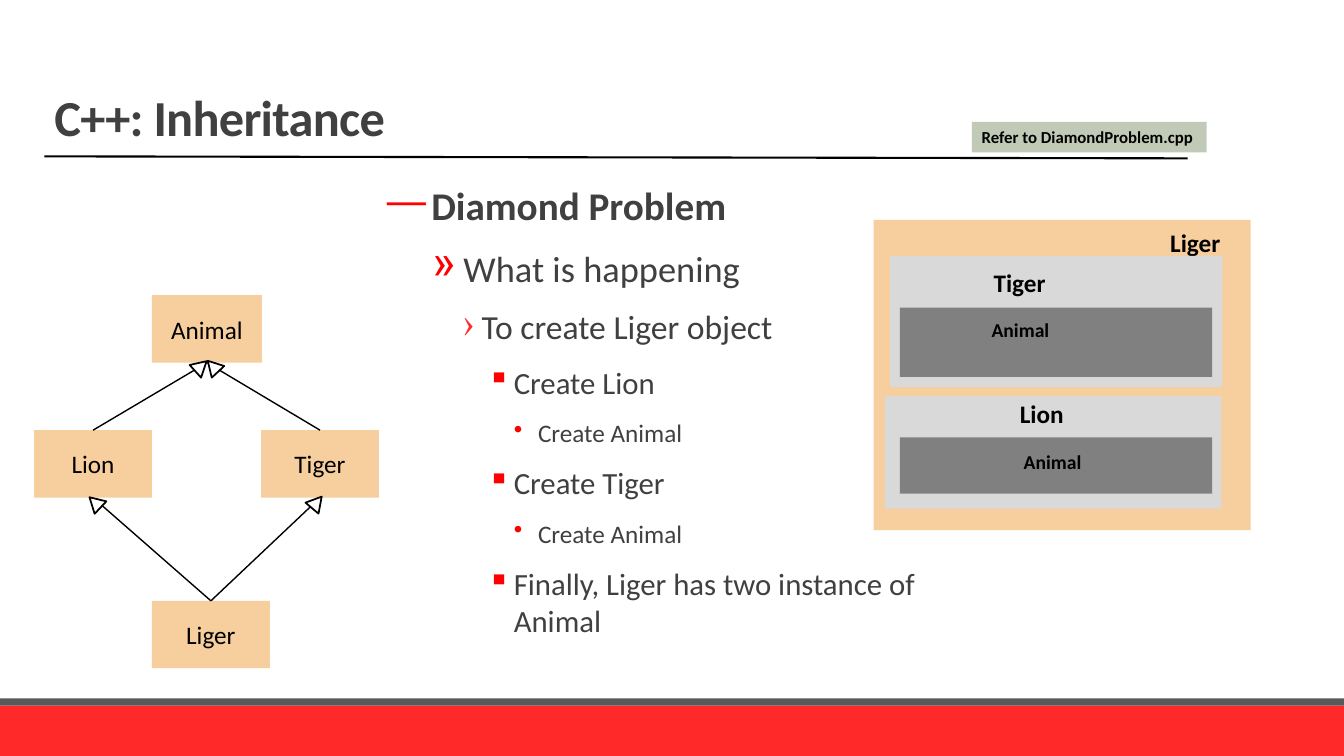
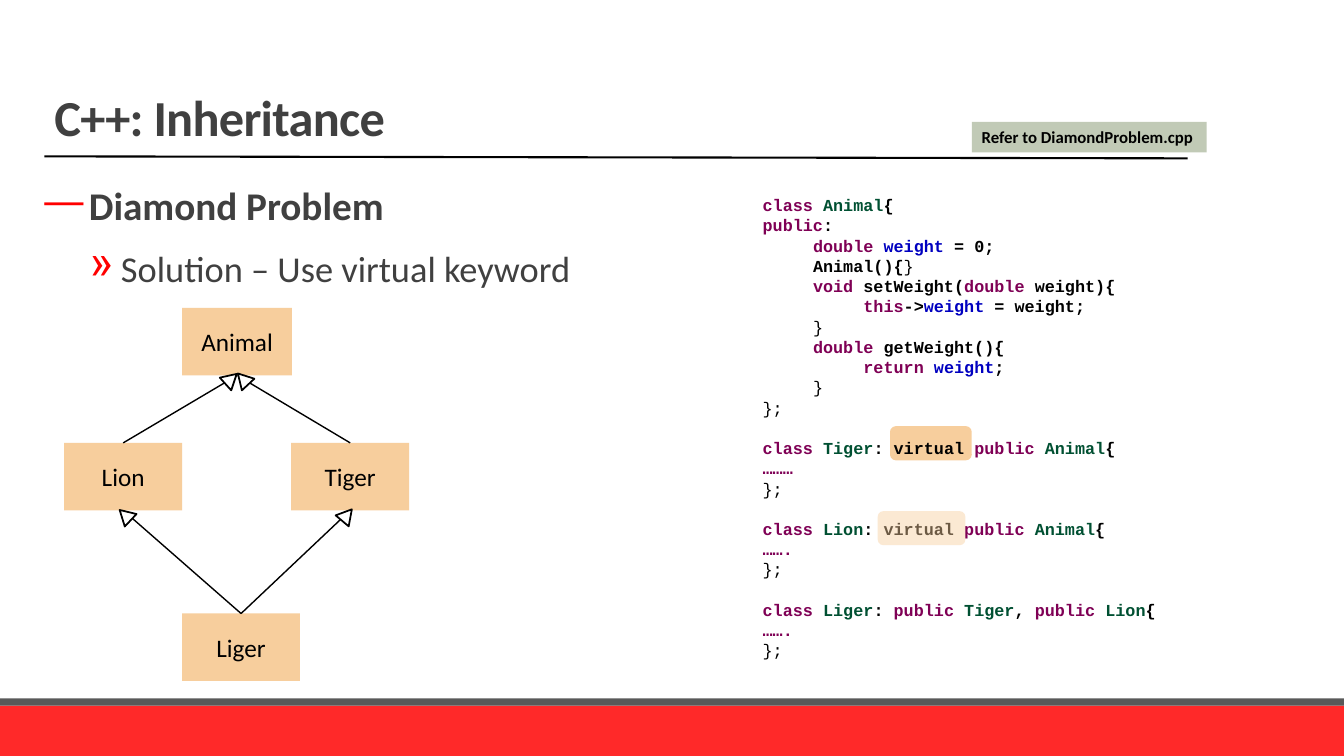
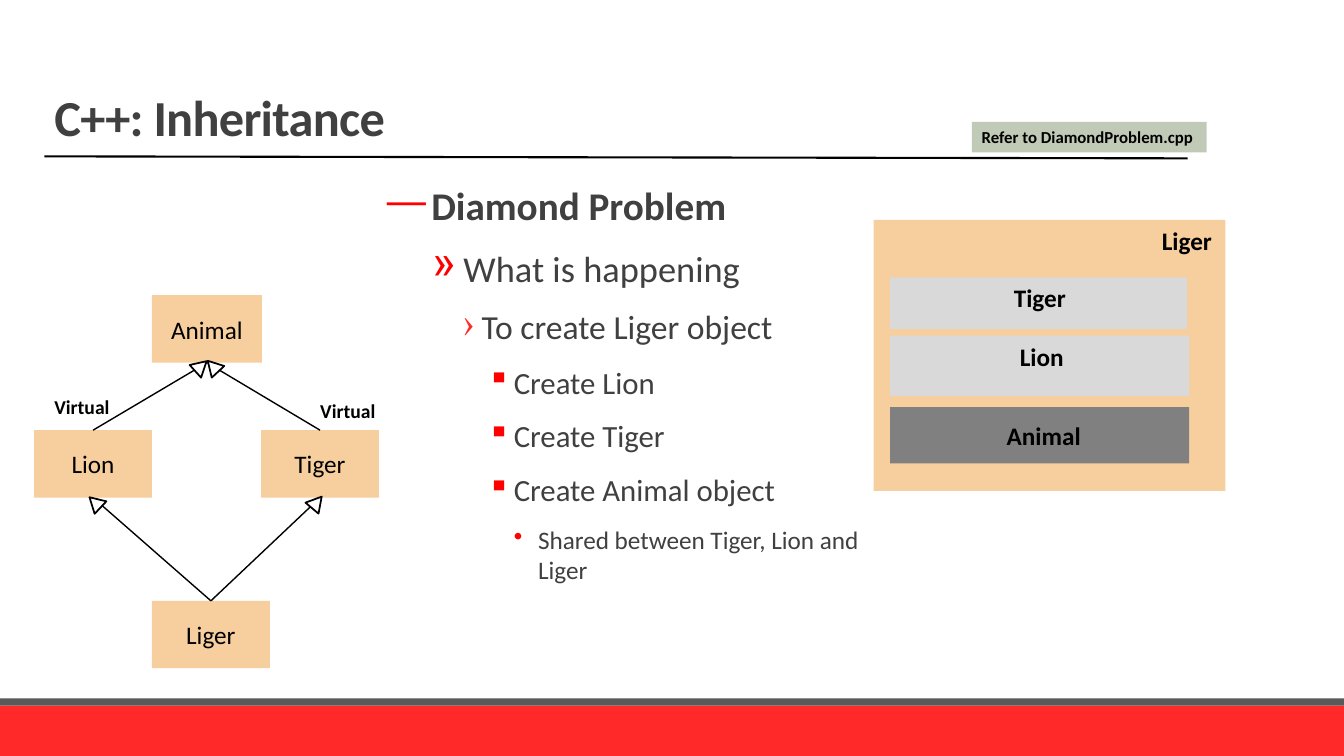
from lxml.etree import SubElement
from pptx import Presentation
from pptx.dml.color import RGBColor
from pptx.enum.shapes import MSO_CONNECTOR, MSO_SHAPE
from pptx.enum.text import MSO_ANCHOR, PP_ALIGN
from pptx.oxml.ns import qn
from pptx.util import Cm, Pt

COLORS = {
    "red": "FF2929", "bullet": "FF0000", "band": "595959", "heading": "404040",
    "black": "000000", "white": "FFFFFF", "peach": "F7CE9D", "sage": "C1CAB6",
    "light": "D9D9D9", "dark": "808080",
    "keyword": "7F0055", "class": "005032", "field": "0000C0",
}
RGB = {name: RGBColor.from_string(value) for name, value in COLORS.items()}
WIDTH, HEIGHT = 33.87, 19.05

# margin and hang in cm, text size, bullet, bullet colour, bullet size in percent
LEVELS = [
    (1.12, 1.12, 28, "—", "bullet", 100),
    (1.93, 0.79, 26, "»", "bullet", 120),
    (2.39, 0.48, 24, "›", "red", 110),
    (3.2, 0.66, 22, "▪", "bullet", 100),
    (3.81, 0.61, 18, "•", "bullet", 100),
]

# Class diagram, relative to its top left corner
CLASSES = {
    "Animal": (2.97, 0, 2.77, 1.7),
    "Lion": (0, 3.4, 2.97, 1.7),
    "Tiger": (5.72, 3.4, 2.97, 1.7),
    "Liger": (2.97, 7.7, 2.97, 1.7),
}
INHERITS = [("Lion", "Animal"), ("Tiger", "Animal"), ("Liger", "Tiger"), ("Liger", "Lion")]
ARROWHEADS = [(3.99, 1.6, 48), (4.29, 1.6, 317.1), (1.32, 5.03, 313.2), (6.91, 5.03, 40.1)]

# Code: blocks of (indent, tokens); a token found here gets its colour, others are black
TOKEN_COLORS = {
    **dict.fromkeys(["class", "public", "double", "void", "this", "return", "………", "……."], "keyword"),
    **dict.fromkeys(["Animal", "Tiger", "Lion", "Liger"], "class"),
    "weight": "field",
}
CODE = [
    [
        (0, "class |Animal|{"),
        (0, "public|:"),
        (1, "double |weight| = 0;"),
        (1, "Animal(){|}"),
        (1, "void |setWeight(|double| weight){"),
        (2, "this|->|weight| = weight;"),
        (1, "}"),
        (1, "double |getWeight(){"),
        (2, "return |weight|;"),
        (1, "}"),
        (0, "};"),
    ],
    [(0, "class |Tiger|: virtual |public |Animal|{"), (0, "………"), (0, "};")],
    [(0, "class |Lion|: virtual |public |Animal|{"), (0, "……."), (0, "};")],
    [(0, "class |Liger|: |public |Tiger|, |public |Lion|{"), (0, "……."), (0, "};")],
]
CODE_PITCH = Pt(14.45)

# Memory blocks: rectangle, fill, then label with its left, top, width and size
SLIDES = [
    {
        "outline_area": (9.75, 4.45, 13.54, 12.7),
        "outline": [
            (0, "Diamond Problem"), (1, "What is happening"), (2, "To create Liger object"),
            (3, "Create Lion"), (4, "Create Animal"),
            (3, "Create Tiger"), (4, "Create Animal"),
            (3, "Finally, Liger has two instance of Animal"),
        ],
        "diagram": (0.86, 7.44),
        "memory": [
            ((22.02, 5.54, 9.5, 7.82), "peach", "Liger", 29.24, 5.59, 1.78, 18),
            ((22.43, 6.45, 8.38, 3.3), "light", "Tiger", 24.79, 6.6, 1.83, 18),
            ((22.3, 9.98, 8.48, 2.84), "light", "Lion", 25.45, 9.91, 1.63, 18),
            ((22.68, 7.75, 7.87, 1.75), "dark", "Animal", 24.74, 7.87, 1.98, 14),
            ((22.68, 11.02, 7.87, 1.42), "dark", "Animal", 25.55, 11.2, 1.98, 14),
        ],
    },
    {
        "outline_area": (1.12, 4.45, 28.79, 12.7),
        "outline": [(0, "Diamond Problem"), (1, "Solution – Use virtual keyword")],
        "diagram": (1.62, 7.76),
        "code": CODE,
    },
    {
        "outline_area": (9.75, 4.45, 11.91, 12.7),
        "outline": [
            (0, "Diamond Problem"), (1, "What is happening"), (2, "To create Liger object"),
            (3, "Create Lion"), (3, "Create Tiger"), (3, "Create Animal object"),
            (4, "Shared between Tiger, Lion and Liger"),
        ],
        "diagram": (0.86, 7.44),
        "memory": [
            ((22.02, 5.54, 8.86, 6.83), "peach", "Liger", 29.03, 5.54, 1.78, 18),
            ((22.43, 6.99, 7.49, 1.3), "light", "Tiger", 25.3, 6.99, 1.83, 18),
            ((22.43, 8.46, 7.54, 1.52), "light", "Lion", 25.45, 8.46, 1.63, 18),
            ((22.43, 10.26, 7.54, 1.42), "dark", "Animal", 25.12, 10.46, 2.67, 18),
        ],
        "virtual_labels": [(1.12, 9.83), (7.82, 9.91)],
    },
]


def add_box(slide, area, text="", *, kind=MSO_SHAPE.RECTANGLE, fill=None, line=None,
            rotation=0, size=18, bold=False, color="black", align=PP_ALIGN.LEFT,
            anchor=MSO_ANCHOR.TOP, wrap=True, side_inset=0.25):
    """Add a filled shape, or a plain text box when there is no fill; area is in cm."""
    place = [Cm(length) for length in area]
    if fill is None:
        box = slide.shapes.add_textbox(*place)
    else:
        box = slide.shapes.add_shape(kind, *place)
        box.shadow.inherit = False
        box.fill.solid()
        box.fill.fore_color.rgb = RGB[fill]
        box.rotation = rotation
        if line is None:
            box.line.fill.background()
        else:
            box.line.color.rgb = RGB["black"]
            box.line.width = Pt(line)
    frame = box.text_frame
    frame.word_wrap = wrap
    frame.vertical_anchor = anchor
    frame.margin_left = frame.margin_right = Cm(side_inset)
    frame.margin_top = frame.margin_bottom = Cm(0.13)
    if text:
        frame.text = text
    for paragraph in frame.paragraphs:
        paragraph.alignment = align
        for run in paragraph.runs:
            run.font.name = "Calibri"
            run.font.size = Pt(size)
            run.font.bold = bold
            run.font.color.rgb = RGB[color]
    return box


def add_line(slide, ends, width):
    line = slide.shapes.add_connector(MSO_CONNECTOR.STRAIGHT, *[Cm(length) for length in ends])
    line.line.color.rgb = RGB["black"]
    line.line.width = Pt(width)
    SubElement(line.element.spPr, qn("a:effectLst"))
    return line


deck = Presentation()
deck.slide_width, deck.slide_height = Cm(WIDTH), Cm(HEIGHT)

for content in SLIDES:
    slide = deck.slides.add_slide(deck.slide_layouts[6])

    # Bands, rule, title and file reference
    add_box(slide, (0, 17.78, WIDTH, 1.27), fill="red")
    add_box(slide, (0, 17.6, WIDTH, 0.18), fill="band")
    add_line(slide, (1.12, 3.94, 29.93, 3.99), 1.5)
    title = add_box(slide, (1.12, 0, 28.79, 3.84), "C++: Inheritance", size=36, bold=True,
                    color="heading", anchor=MSO_ANCHOR.BOTTOM).text_frame.paragraphs[0]
    title.line_spacing = 0.85
    title.runs[0].font._element.set("spc", "-50")
    add_box(slide, (24.49, 3.07, 5.92, 0.77), "Refer to DiamondProblem.cpp",
            fill="sage", size=12, bold=True, wrap=False)

    # Outline
    outline = add_box(slide, content["outline_area"],
                      "\n".join(text for _, text in content["outline"]),
                      color="heading", side_inset=0).text_frame
    for number, (level, _) in enumerate(content["outline"]):
        paragraph = outline.paragraphs[number]
        margin, hang, size, bullet, bullet_color, percent = LEVELS[level]
        paragraph.level = level
        properties = paragraph._p.get_or_add_pPr()
        properties.set("marL", str(Cm(margin)))
        properties.set("indent", str(-Cm(hang)))
        SubElement(SubElement(properties, qn("a:buClr")), qn("a:srgbClr"), val=COLORS[bullet_color])
        SubElement(properties, qn("a:buSzPct"), val=str(percent * 1000))
        SubElement(properties, qn("a:buChar"), char=bullet)
        paragraph.space_before = Pt(6 if number else 0)
        paragraph.space_after = Pt(6)
        paragraph.runs[0].font.size = Pt(size)
        paragraph.runs[0].font.bold = level == 0

    # Class diagram
    left, top = content["diagram"]
    classes = {}
    for name, (x, y, width, height) in CLASSES.items():
        classes[name] = add_box(slide, (left + x, top + y, width, height), name, fill="peach",
                                align=PP_ALIGN.CENTER, anchor=MSO_ANCHOR.MIDDLE)
    for child, parent in INHERITS:
        arrow = add_line(slide, (0, 0, 0, 0), 1)
        arrow.begin_connect(classes[child], 0)
        arrow.end_connect(classes[parent], 2)
        SubElement(arrow.line._get_or_add_ln(), qn("a:tailEnd"), type="triangle")
    for x, y, rotation in ARROWHEADS:
        add_box(slide, (left + x, top + y, 0.43, 0.38), kind=MSO_SHAPE.ISOSCELES_TRIANGLE,
                fill="white", line=1.25, rotation=rotation)
    for x, y in content.get("virtual_labels", []):
        add_box(slide, (x, y, 1.93, 0.86), "Virtual", size=14, bold=True, wrap=False)

    # Memory layout of the object
    for area, fill, label, x, y, width, size in content.get("memory", []):
        add_box(slide, area, fill=fill)
        add_box(slide, (x, y, width, 1.02), label, size=size, bold=True, wrap=False)

    # Code between a solid and a see-through highlight
    if "code" in content:
        add_box(slide, (22.43, 10.74, 2.06, 0.86), kind=MSO_SHAPE.DOUBLE_BRACKET, fill="peach")
        listing = add_box(slide, (18.97, 4.78, 13.34, 12.07)).text_frame
        for block_number, block in enumerate(content["code"]):
            for line_number, (indent, tokens) in enumerate(block):
                first = block_number == line_number == 0
                paragraph = listing.paragraphs[0] if first else listing.add_paragraph()
                paragraph._p.get_or_add_pPr().set("marL", str(Cm(1.27 * indent)))
                paragraph.line_spacing = CODE_PITCH
                if block_number and line_number == 0:
                    paragraph.space_before = CODE_PITCH
                for token in tokens.split("|"):
                    run = paragraph.add_run()
                    run.text = token
                    run.font.name = "Courier New"
                    run.font.size = Pt(12)
                    run.font.bold = token not in ("}", "};")
                    run.font.color.rgb = RGB[TOKEN_COLORS.get(token.strip(), "black")]
        highlight = add_box(slide, (22.12, 12.88, 2.21, 0.86), kind=MSO_SHAPE.DOUBLE_BRACKET,
                            fill="peach")
        tint = highlight.element.spPr.find(qn("a:solidFill"))[0]
        SubElement(tint, qn("a:alpha"), val="44000")

deck.save("out.pptx")
